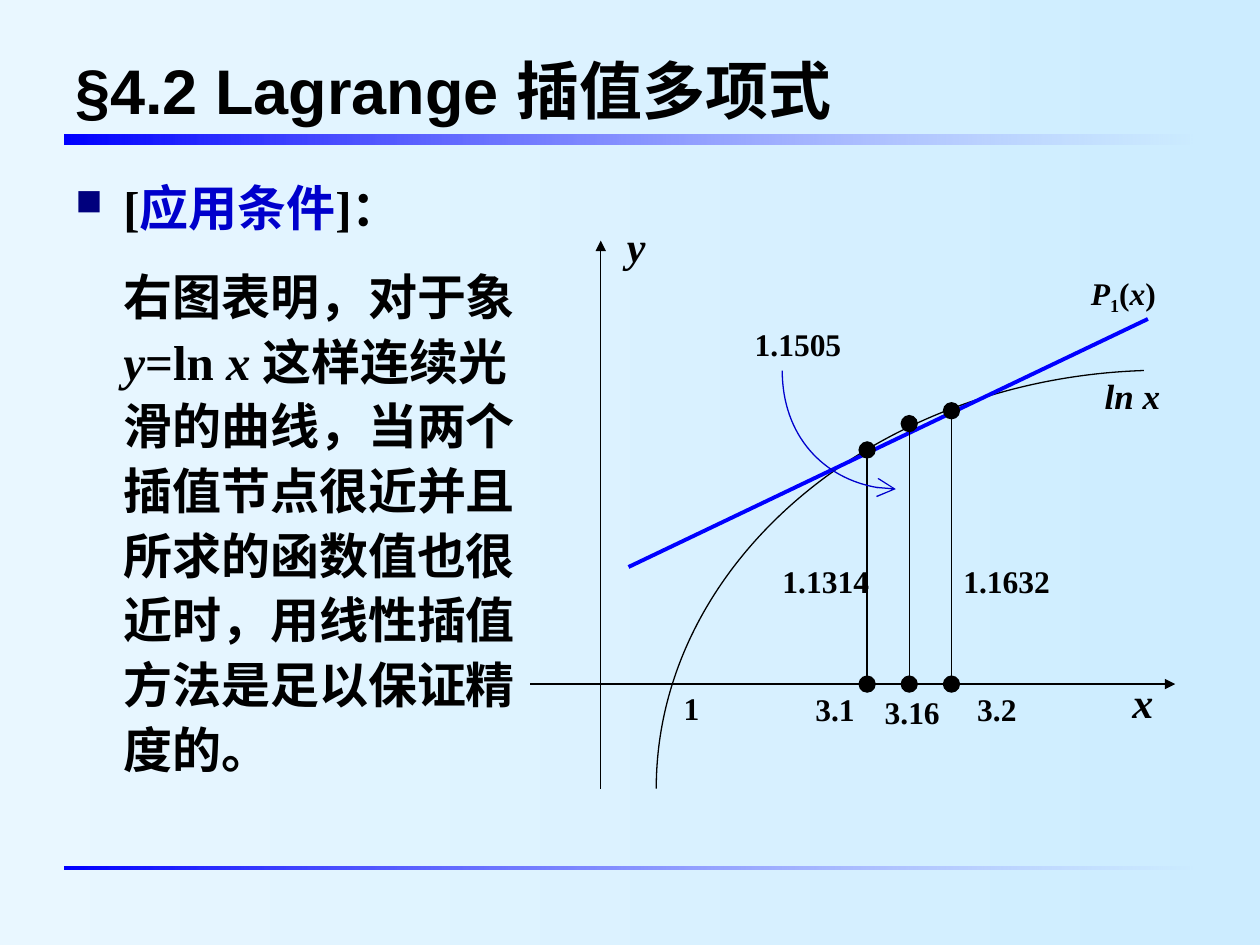
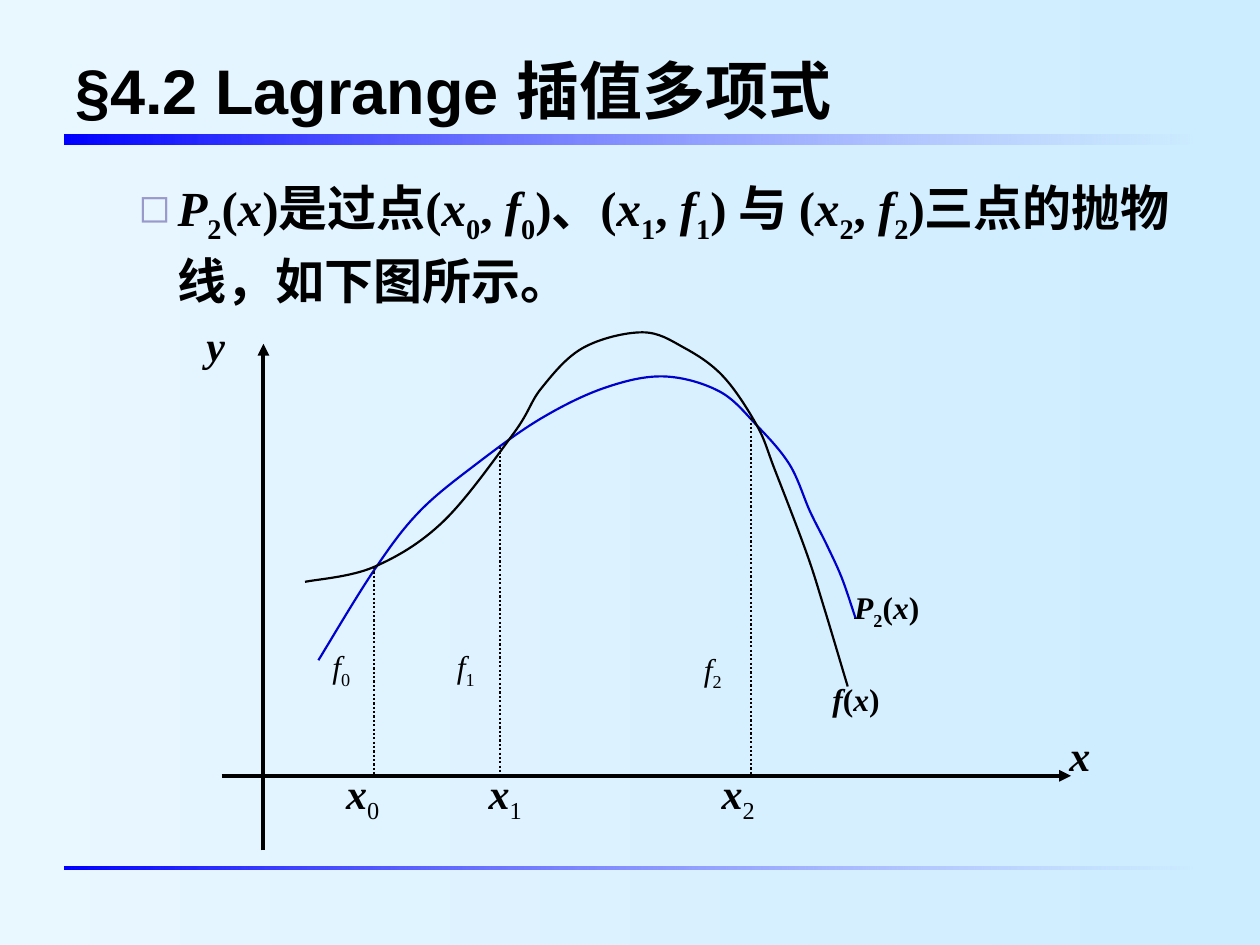
from dataclasses import dataclass

from lxml import etree
from pptx import Presentation
from pptx.dml.color import RGBColor
from pptx.enum.dml import MSO_LINE
from pptx.enum.shapes import MSO_CONNECTOR, MSO_SHAPE
from pptx.enum.text import MSO_ANCHOR, PP_ALIGN
from pptx.oxml.ns import qn
from pptx.util import Cm, Pt

LEFT, CENTER, RIGHT = PP_ALIGN.LEFT, PP_ALIGN.CENTER, PP_ALIGN.RIGHT
DOTTED = MSO_LINE.ROUND_DOT
STRAIGHT = MSO_CONNECTOR.STRAIGHT
RECTANGLE = MSO_SHAPE.RECTANGLE
MIDDLE = MSO_ANCHOR.MIDDLE


@dataclass(frozen=True)
class Theme:
    """Colours, fonts and sizes shared by the slides."""
    ink: str = "000000"
    accent: str = "0000CC"
    chord: str = "0000FF"
    band_end: str = "6565FF"
    back_start: str = "E9F7FF"
    back_end: str = "CCECFF"
    square_bullet: str = "00007D"
    open_bullet: str = "9999CC"
    heading_font: str = "Arial"
    body_font: str = "Times New Roman"
    title_size: int = 36
    body_size: int = 28
    axis_size: int = 24
    curve_size: int = 20
    value_size: int = 18
    thin: float = 0.75
    medium: float = 1.25
    thick: float = 2.25


THEME = Theme()


@dataclass(frozen=True)
class Box:
    """A region of a slide, in centimetres."""
    left: float
    top: float
    width: float
    height: float

    def at(self, x, y):
        return Cm(self.left + x), Cm(self.top + y)

    def inner(self, x, y, width, height):
        return Box(self.left + x, self.top + y, width, height)

    def lengths(self):
        return Cm(self.left), Cm(self.top), Cm(self.width), Cm(self.height)


TITLE = Box(1.27, 0.91, 22.86, 1.8)
TITLE_RULE = Box(1.3, 2.72, 22.8, 0.2)
FOOTER_RULE = Box(1.3, 17.47, 22.8, 0.06)


def rgb(value):
    return RGBColor.from_string(value)


# Text: pieces are split by "|"; "/" marks italic, "_" subscript, "#" accent
def write(paragraph, text, size, font=THEME.body_font, bold=True, sub_bold=True):
    style = paragraph.font
    style.name, style.size, style.bold = font, Pt(size), bold
    style.color.rgb = rgb(THEME.ink)
    for piece in text.split("|"):
        run = paragraph.add_run()
        run.text = piece.lstrip("/_#")
        if piece.startswith("/"):
            run.font.italic = True
        elif piece.startswith("_"):
            run._r.get_or_add_rPr().set("baseline", "-25000")
            if not sub_bold:
                run.font.bold = False
        elif piece.startswith("#"):
            run.font.color.rgb = rgb(THEME.accent)


def text_frame(slide, box):
    frame = slide.shapes.add_textbox(*box.lengths()).text_frame
    frame.word_wrap = True
    return frame


def label(slide, box, text, size=THEME.value_size, align=LEFT, **style):
    paragraph = text_frame(slide, box).paragraphs[0]
    paragraph.alignment = align
    write(paragraph, text, size, **style)


def body_layout(paragraph, margin, hanging=0, bullet=None):
    """Line spacing, indent and an optional (char, colour, percent) bullet."""
    paragraph.line_spacing = 1.1
    props = paragraph._p.get_or_add_pPr()
    props.set("marL", str(Cm(margin)))
    props.set("indent", str(-Cm(hanging)))
    if bullet:
        char, colour, percent = bullet
        holder = etree.SubElement(props, qn("a:buClr"))
        etree.SubElement(holder, qn("a:srgbClr"), val=colour)
        etree.SubElement(props, qn("a:buSzPct"), val=str(percent * 1000))
        etree.SubElement(props, qn("a:buChar"), char=char)


# Lines and curves
def style_line(line, colour, width):
    line.color.rgb = rgb(colour)
    line.width = Pt(width)


def add_end(line, end, kind, size):
    etree.SubElement(line._get_or_add_ln(), qn(f"a:{end}"), type=kind, w=size, len=size)


def straight(slide, box, start, finish, width, colour=THEME.ink, dash=None,
             head=None, tail=None, end_size="med"):
    connector = slide.shapes.add_connector(STRAIGHT, *box.at(*start), *box.at(*finish))
    style_line(connector.line, colour, width)
    if dash is not None:
        connector.line.dash_style = dash
    for end, kind in (("headEnd", head), ("tailEnd", tail)):
        if kind:
            add_end(connector.line, end, kind, end_size)
    etree.SubElement(connector._element.spPr, qn("a:effectLst"))


def bezier(slide, box, points, width, colour=THEME.ink):
    """Cubic curve: a start, then two controls and a knot for each segment."""
    corners = [box.at(*point) for point in points]
    builder = slide.shapes.build_freeform(*corners[0])
    builder.add_line_segments(corners[1:], close=False)
    curve = builder.convert_to_shape()
    outline = curve._element.find(".//" + qn("a:path"))
    steps = outline.findall(qn("a:lnTo"))
    for first in range(0, len(steps), 3):
        segment = etree.SubElement(outline, qn("a:cubicBezTo"))
        for step in steps[first:first + 3]:
            segment.append(step[0])
            outline.remove(step)
    curve.fill.background()
    curve.shadow.inherit = False
    style_line(curve.line, colour, width)
    return curve


def smooth(slide, box, knots, width, colour=THEME.ink):
    """Catmull-Rom spline through the knots."""
    padded = [knots[0], *knots, knots[-1]]
    points = [knots[0]]
    for before, start, finish, after in zip(padded, padded[1:], padded[2:], padded[3:]):
        points.append(tuple(s + (f - b) / 6 for b, s, f in zip(before, start, finish)))
        points.append(tuple(f - (a - s) / 6 for s, f, a in zip(start, finish, after)))
        points.append(finish)
    bezier(slide, box, points, width, colour)


def axes(slide, box, x_axis, y_axis, x_name, y_name, width):
    for start, finish in (x_axis, y_axis):
        straight(slide, box, start, finish, width, tail="triangle")
    for name, place in (("/x", x_name), ("/y", y_name)):
        label(slide, box.inner(*place, 0.95, 1.27), name, THEME.axis_size)


# Shared frame: background, title and the two fading rules
def gradient(fill, start, finish):
    fill.gradient()
    fill.gradient_angle = 0
    for stop, colour, position in zip(fill.gradient_stops, (start, finish), (0, 1)):
        stop.color.rgb = rgb(colour)
        stop.position = position


def fading_rule(slide, box):
    rule = slide.shapes.add_shape(RECTANGLE, *box.lengths())
    gradient(rule.fill, THEME.chord, THEME.band_end)
    last_colour = rule._element.spPr.findall(".//" + qn("a:srgbClr"))[-1]
    etree.SubElement(last_colour, qn("a:alpha"), val="0")
    rule.line.fill.background()
    rule.shadow.inherit = False


def new_slide(deck):
    slide = deck.slides.add_slide(deck.slide_layouts[6])
    gradient(slide.background.fill, THEME.back_start, THEME.back_end)
    fading_rule(slide, TITLE_RULE)
    fading_rule(slide, FOOTER_RULE)
    frame = text_frame(slide, TITLE)
    frame.vertical_anchor = MIDDLE
    write(frame.paragraphs[0], "§4.2 Lagrange 插值多项式",
          THEME.title_size, THEME.heading_font)
    return slide


# Slide 1: when linear interpolation is good enough
def condition_text(slide, box):
    frame = text_frame(slide, box)
    heading = frame.paragraphs[0]
    body_layout(heading, 0.97, 0.97, ("■", THEME.square_bullet, 75))
    write(heading, "[|#应用条件|]：", THEME.body_size)
    remark = frame.add_paragraph()
    body_layout(remark, 0.97)
    remark.space_before = Pt(14)
    write(remark, "右图表明，对于象|/y|=ln |/x |这样连续光滑的曲线，当两个插值节点很近"
                  "并且所求的函数值也很近时，用线性插值方法是足以保证精度的。", THEME.body_size)


def linear_figure(slide, box):
    axis_y = 9.47
    axes(slide, box, ((0, axis_y), (13, axis_y)), ((1.42, 11.58), (1.42, 0.53)),
         (11.89, 9.19), (1.7, 0), THEME.thin)

    # Logarithm and its chord
    bezier(slide, box, [(2.54, 11.58), (2.54, 7.04), (6.91, 3.33), (12.37, 3.15)],
           THEME.thin)
    straight(slide, box, (1.98, 7.11), (12.45, 2.11), THEME.thick, THEME.chord)
    label(slide, box.inner(11.33, 3.1, 1.9, 1.12), "/ln x", THEME.curve_size)
    label(slide, box.inner(11.05, 1.07, 2, 1.12), "/P|_1|(|/x|)")

    # Nodes at equal steps
    for index, curve_y in enumerate((4.75, 4.22, 3.96)):
        node_x = 6.79 + 0.85 * index
        straight(slide, box, (node_x, axis_y), (node_x, curve_y), THEME.thin,
                 head="oval", tail="oval", end_size="lg")

    # Node and function values
    for text, x, y, width, align in (
            ("1", 2.84, 9.45, 0.85, LEFT),
            ("3.1", 4.55, 9.47, 2.24, RIGHT),
            ("3.16", 6.58, 9.53, 2.24, CENTER),
            ("3.2", 8.76, 9.47, 2.24, LEFT),
            ("1.1314", 3.68, 6.88, 3.4, RIGHT),
            ("1.1632", 8.48, 6.88, 3.4, LEFT),
            ("1.1505", 3.12, 2.11, 3.4, RIGHT)):
        label(slide, box.inner(x, y, width, 1.02), text, align=align)

    # Pointer from the interpolated value
    pointer = bezier(slide, box, [(5.08, 3.15), (5.08, 4.47), (6.1, 5.54), (7.37, 5.54)],
                     THEME.thin, THEME.accent)
    add_end(pointer.line, "tailEnd", "arrow", "lg")


# Slide 2: parabola through three points
def parabola_text(slide, box):
    statement = text_frame(slide, box).paragraphs[0]
    body_layout(statement, 2.06, 0.79, ("◻", THEME.open_bullet, 80))
    first, second, third = (f"(|/x|_{i}|, |/f|_{i}|)" for i in range(3))
    write(statement, f"/P|_2|(|/x|)是过点{first}、{second} 与 {third}三点的抛物线，如下图所示。",
          THEME.body_size)


def parabola_figure(slide, box):
    axis_y = 9.32
    axes(slide, box, ((0.56, axis_y), (17.68, axis_y)), ((1.4, 10.82), (1.4, 0.61)),
         (17.4, 8.26), (0, 0), THEME.thick)

    # Interpolating parabola and function
    parabola = [(2.51, 6.99), (3.63, 5.18), (4.55, 3.99), (5.74, 3), (7.01, 2.11),
                (8.28, 1.5), (9.47, 1.27), (10.59, 1.57), (11.35, 2.26), (12.01, 3.05),
                (12.42, 3.99), (12.75, 4.65), (13.06, 5.33), (13.34, 6.15)]
    function = [(2.24, 5.41), (3.63, 5.11), (5.03, 4.19), (6.45, 2.41), (7.01, 1.5),
                (7.85, 0.69), (9.04, 0.38), (9.88, 0.69), (10.67, 1.27), (11.35, 2.26),
                (11.71, 3.15), (12.34, 4.8), (12.7, 5.92), (13.18, 7.52)]
    smooth(slide, box, parabola, THEME.medium, THEME.accent)
    smooth(slide, box, function, THEME.medium)
    label(slide, box.inner(13.06, 5.41, 2.2, 1.12), "/P|_2|(|/x|)")
    label(slide, box.inner(12.62, 7.26, 1.7, 1.02), "/f|(|/x|)")

    # Ordinates: node, top, left of the x label, place of the f label
    ordinates = ((3.63, 5.11, 2.82, (2.54, 6.6)),
                 (6.17, 2.69, 5.69, (5.05, 6.6)),
                 (11.23, 2.11, 10.39, (10.03, 6.65)))
    for index, (node_x, top, x_left, f_place) in enumerate(ordinates):
        straight(slide, box, (node_x, top), (node_x, axis_y), THEME.medium, dash=DOTTED)
        label(slide, box.inner(x_left, 9.02, 1.3, 1.42), f"/x|_{index}",
              THEME.axis_size, sub_bold=False)
        label(slide, box.inner(*f_place, 1, 1.12), f"/f|_{index}", bold=False)


def main():
    deck = Presentation()
    deck.slide_width, deck.slide_height = Cm(25.4), Cm(19.05)

    slide = new_slide(deck)
    condition_text(slide, Box(1.27, 3.33, 10.03, 13.59))
    linear_figure(slide, Box(10.69, 4.32, 13, 11.58))

    slide = new_slide(deck)
    parabola_text(slide, Box(1.27, 3.33, 22.86, 13.59))
    parabola_figure(slide, Box(3.91, 6.32, 18.35, 10.82))

    deck.save("out.pptx")


if __name__ == "__main__":
    main()
